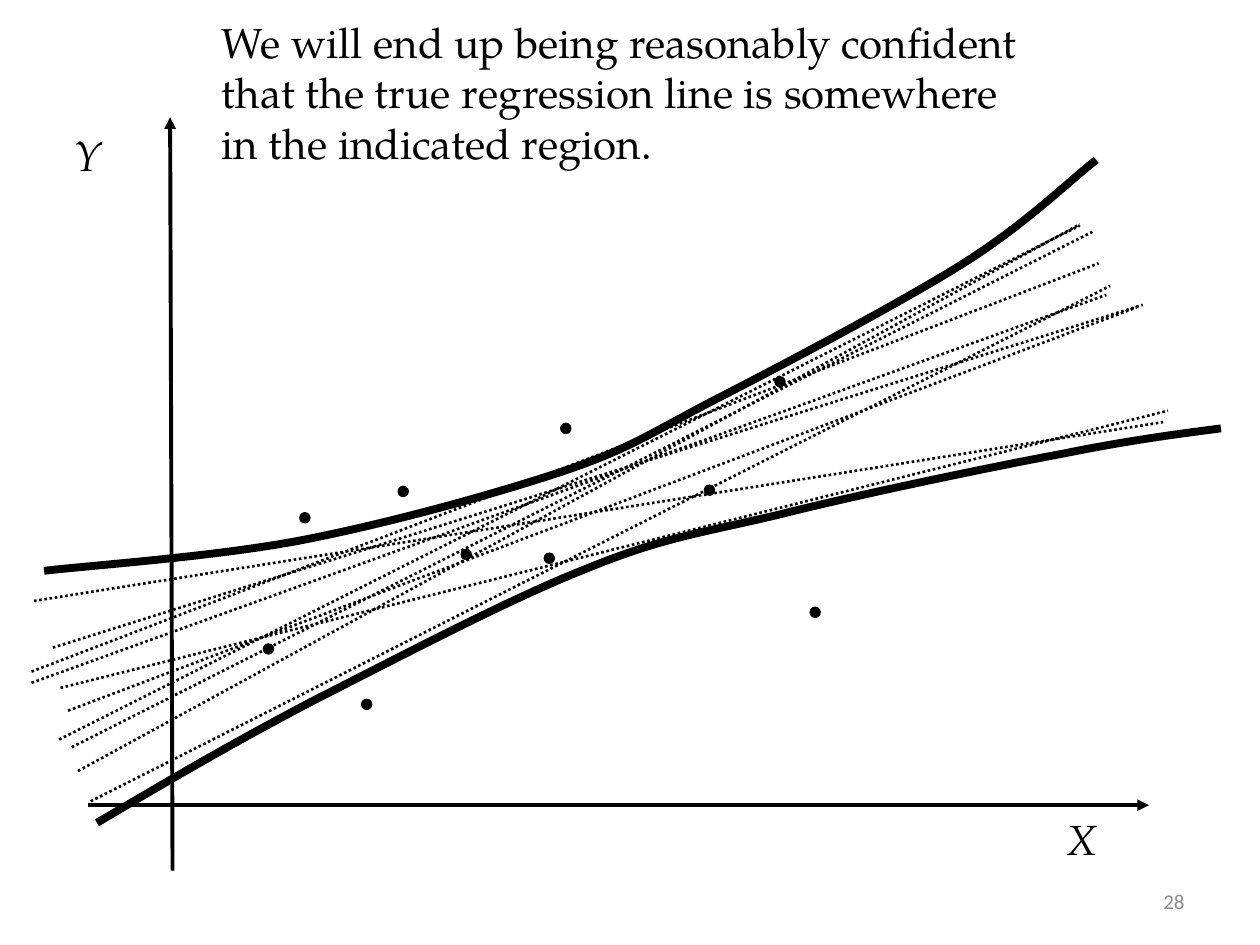
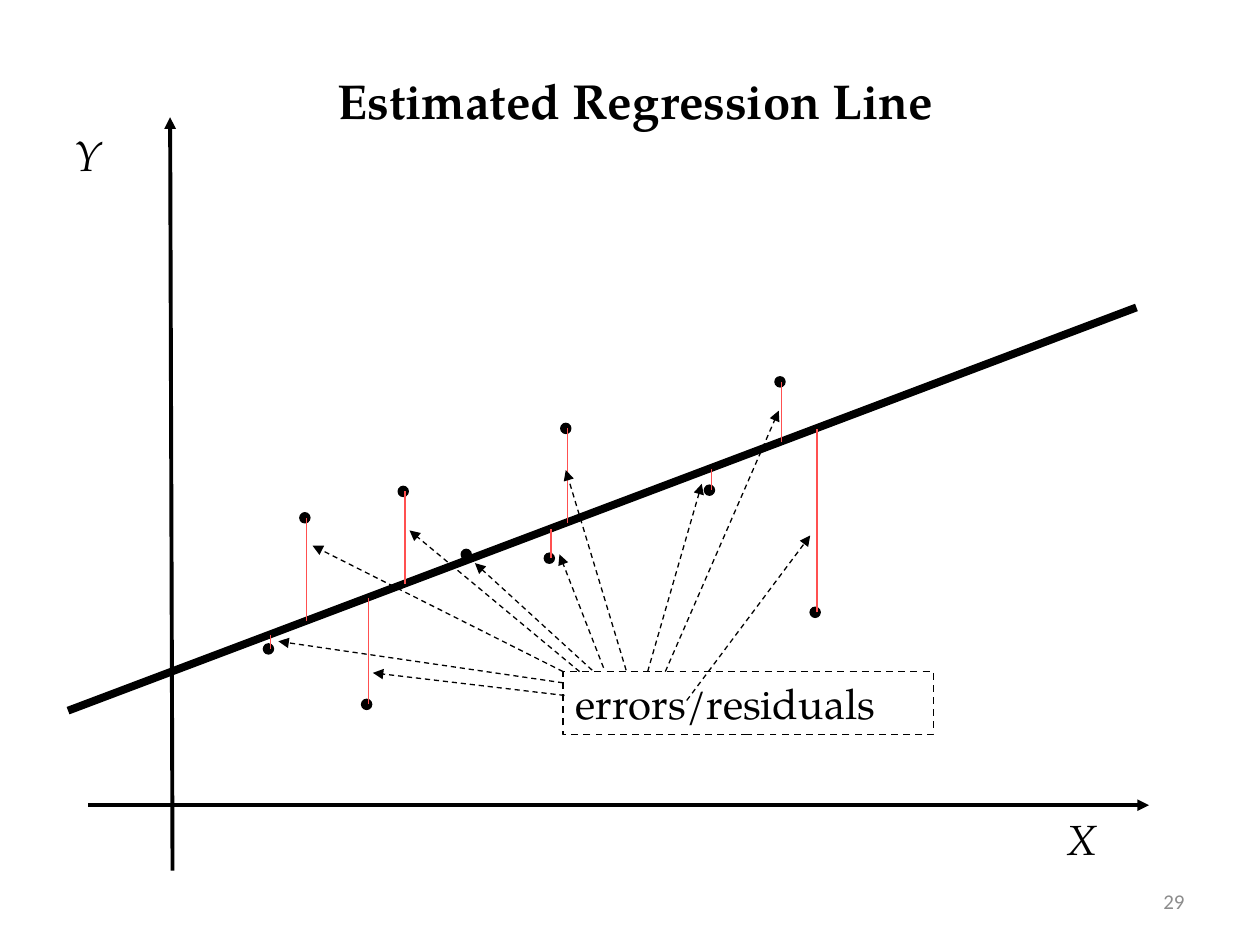
from collections import namedtuple

from lxml import etree
from pptx import Presentation
from pptx.dml.color import RGBColor
from pptx.enum.dml import MSO_LINE
from pptx.enum.shapes import MSO_CONNECTOR, MSO_SHAPE
from pptx.enum.text import MSO_ANCHOR, MSO_AUTO_SIZE, PP_ALIGN
from pptx.oxml.ns import qn
from pptx.util import Pt

STRAIGHT = MSO_CONNECTOR.STRAIGHT
ELLIPSE, RECTANGLE = MSO_SHAPE.OVAL, MSO_SHAPE.RECTANGLE
DOTTED, DASHED = MSO_LINE.ROUND_DOT, MSO_LINE.DASH
TOP, MIDDLE = MSO_ANCHOR.TOP, MSO_ANCHOR.MIDDLE
LEFT, CENTER, RIGHT = PP_ALIGN.LEFT, PP_ALIGN.CENTER, PP_ALIGN.RIGHT
FIXED = MSO_AUTO_SIZE.NONE

Box = namedtuple("Box", "left top width height")

INK, RESIDUAL_RED, NUMBER_GREY = "000000", "FF5050", "8C8C8C"
SERIF, SANS = "TeX Gyre Pagella", "Calibri"
TITLE_ONLY = 5
PLOT = Box(18, 66, 680, 432)
PAGE_NUMBER = Box(516.2, 500.4, 167.8, 28.8)
DOT_SIZE = 5.8
ON_LINE_GAP = 5

AXES = [((80.6, 431.5), (79.2, 1)), ((32.4, 394.1), (638.6, 394.1))]
AXIS_NAMES = {"X": Box(583.9, 395.5, 32.4, 36), "Y": Box(17.3, 4.6, 31, 36)}
OBSERVATIONS = [
    (212.4, 214.8), (135.4, 304.8), (156.2, 229.9), (248.4, 250.8), (387.4, 214.1),
    (295.9, 253), (191.5, 336.5), (305.3, 178.8), (447.8, 283.9), (427.7, 152.2),
]
FITTED_LINE = ((20.9, 340.1), (631.4, 109.7))
CANDIDATE_LINES = [
    FITTED_LINE,
    ((15.8, 356.6), (599, 62.9)),
    ((23, 361), (606.2, 66.5)),
    ((26.6, 374.6), (599, 62.2)),
    ((0, 324.2), (614.2, 102.5)),
    ((0, 317.8), (609.8, 84.5)),
    ((12.2, 304.1), (635, 108.2)),
    ((33.8, 391.9), (616.3, 97.4)),
    ((1.4, 277.4), (646.6, 175.2)),
    ((16.6, 327.1), (649.4, 168.7)),
]
LOWER_BOUND = [
    (37.4, 404.2), (77.8, 380.4), (114.5, 358.8), (161.3, 334.3),
    (208.1, 310.6), (272.2, 276.7), (316.1, 259.4),
    (360, 241.4), (379.4, 239.3), (425.5, 228.5),
    (470.9, 217), (547.2, 201.1), (589.7, 193.2),
    (632.2, 184.6), (663.8, 181), (679.7, 178.8),
]
UPPER_BOUND = [
    (7.2, 260.2), (31.7, 257.3), (104.4, 252.2), (153.4, 242.9),
    (202.3, 233.5), (262.1, 217), (301.7, 204),
    (340.6, 191), (349.9, 183.8), (388.1, 163.7),
    (426.2, 144.2), (494.6, 108.2), (531.4, 85.2),
    (568.1, 62.2), (592.6, 37.7), (608.4, 25.4),
]
RESIDUAL_LABEL = Box(303.8, 317.8, 211.7, 36)
LABEL_ARROWS = [
    ((374.4, 334.3), (445, 240)),
    ((362.2, 317.8), (427, 168.7)),
    ((339.8, 317), (305.3, 202.6)),
    ((352.1, 317.8), (383, 210.5)),
    ((326.9, 315.6), (301.7, 250.8)),
    ((313.2, 317.8), (216, 237.1)),
    ((303.8, 317.8), (160.6, 245.8)),
    ((304.6, 331.4), (195.1, 318.5)),
    ((303.8, 324.2), (141.1, 300.5)),
    ((320.4, 317), (253.4, 255.8)),
]


def color(value):
    return RGBColor.from_string(value)


def inside(outer, box):
    return Box(outer.left + box.left, outer.top + box.top, box.width, box.height)


def lengths(values):
    return [Pt(value) for value in values]


def place(outer, point):
    return lengths((outer.left + point[0], outer.top + point[1]))


def write(shape, text, size, align=LEFT, font=SERIF, ink=INK,
          bold=False, italic=False, wrap=False, anchor=TOP):
    frame = shape.text_frame
    frame.text = text
    frame.auto_size = FIXED
    frame.word_wrap = wrap
    frame.vertical_anchor = anchor
    for para in frame.paragraphs:
        para.alignment = align
        for span in para.runs:
            span.font.name = font
            span.font.size = Pt(size)
            span.font.bold = bold
            span.font.italic = italic
            span.font.color.rgb = color(ink)


def stroke(line, width, ink=INK, dash=None):
    line.color.rgb = color(ink)
    line.width = Pt(width)
    if dash is not None:
        line.dash_style = dash


def add_line(page, box, ends, width, ink=INK, dash=None, arrow=False):
    start, end = ends
    connector = page.shapes.add_connector(STRAIGHT, *place(box, start), *place(box, end))
    stroke(connector.line, width, ink, dash)
    properties = connector.element.spPr
    if arrow:
        etree.SubElement(properties.find(qn("a:ln")), qn("a:tailEnd"), type="triangle")
    etree.SubElement(properties, qn("a:effectLst"))


def add_curve(page, box, points):
    start, *controls = [place(box, point) for point in points]
    builder = page.shapes.build_freeform(*start)
    builder.add_line_segments(controls, close=False)
    curve = builder.convert_to_shape()
    curve.shadow.inherit = False
    curve.fill.background()
    stroke(curve.line, 4.5)
    segments = list(curve.element.iter(qn("a:lnTo")))
    outline = segments[0].getparent()
    for first in range(0, len(segments), 3):
        bezier = etree.SubElement(outline, qn("a:cubicBezTo"))
        for segment in segments[first:first + 3]:
            bezier.append(segment[0])
            outline.remove(segment)


def add_title(page, box, text, size, bold=False):
    title = page.shapes.title
    title.left, title.top, title.width, title.height = lengths(box)
    write(title, text, size, bold=bold)


def add_page_number(page, box, number):
    label = page.shapes.add_textbox(*lengths(box))
    write(label, str(number), 12, RIGHT, SANS, NUMBER_GREY, wrap=True, anchor=MIDDLE)


def draw_scatter(page, box):
    for axis in AXES:
        add_line(page, box, axis, 2.25, arrow=True)
    for name, spot in AXIS_NAMES.items():
        label = page.shapes.add_textbox(*lengths(inside(box, spot)))
        write(label, name, 24, CENTER, italic=True)
    for x, y in OBSERVATIONS:
        spot = Box(x - DOT_SIZE / 2, y - DOT_SIZE / 2, DOT_SIZE, DOT_SIZE)
        dot = page.shapes.add_shape(ELLIPSE, *lengths(inside(box, spot)))
        dot.shadow.inherit = False
        dot.fill.solid()
        dot.fill.fore_color.rgb = color(INK)
        stroke(dot.line, 0.75)


def draw_confidence_region(page, box):
    for candidate in CANDIDATE_LINES:
        add_line(page, box, candidate, 1.5, dash=DOTTED)
    for bound in (LOWER_BOUND, UPPER_BOUND):
        add_curve(page, box, bound)


def draw_residuals(page, box):
    (x1, y1), (x2, y2) = FITTED_LINE
    slope = (y2 - y1) / (x2 - x1)
    add_line(page, box, FITTED_LINE, 4.5)
    for x, y in OBSERVATIONS:
        fitted = y1 + slope * (x - x1)
        if abs(fitted - y) > ON_LINE_GAP:
            add_line(page, box, ((x + 1, y), (x + 1, fitted)), 0.75, RESIDUAL_RED)


def draw_residual_label(page, box):
    label = page.shapes.add_shape(RECTANGLE, *lengths(inside(box, RESIDUAL_LABEL)))
    label.shadow.inherit = False
    label.fill.background()
    stroke(label.line, 1, dash=DASHED)
    write(label, "errors/residuals", 24, wrap=True)
    for arrow in LABEL_ARROWS:
        add_line(page, box, arrow, 0.75, dash=DASHED, arrow=True)


def add_plot_page(deck, number):
    page = deck.slides.add_slide(deck.slide_layouts[TITLE_ONLY])
    draw_scatter(page, PLOT)
    add_page_number(page, PAGE_NUMBER, number)
    return page


def build_region_page(deck):
    page = add_plot_page(deck, 28)
    add_title(page, Box(119.5, 5.8, 474.5, 94.3),
              "We will end up being reasonably confident\n"
              "that the true regression line is somewhere\n"
              "in the indicated region.", 24)
    draw_confidence_region(page, PLOT)


def build_residual_page(deck):
    page = add_plot_page(deck, 29)
    add_title(page, Box(185.8, 36.7, 357.8, 41), "Estimated Regression Line", 28, bold=True)
    draw_residuals(page, PLOT)
    draw_residual_label(page, PLOT)


def main():
    deck = Presentation()
    deck.slide_width, deck.slide_height = Pt(720), Pt(540)
    build_region_page(deck)
    build_residual_page(deck)
    deck.save("out.pptx")


if __name__ == "__main__":
    main()
